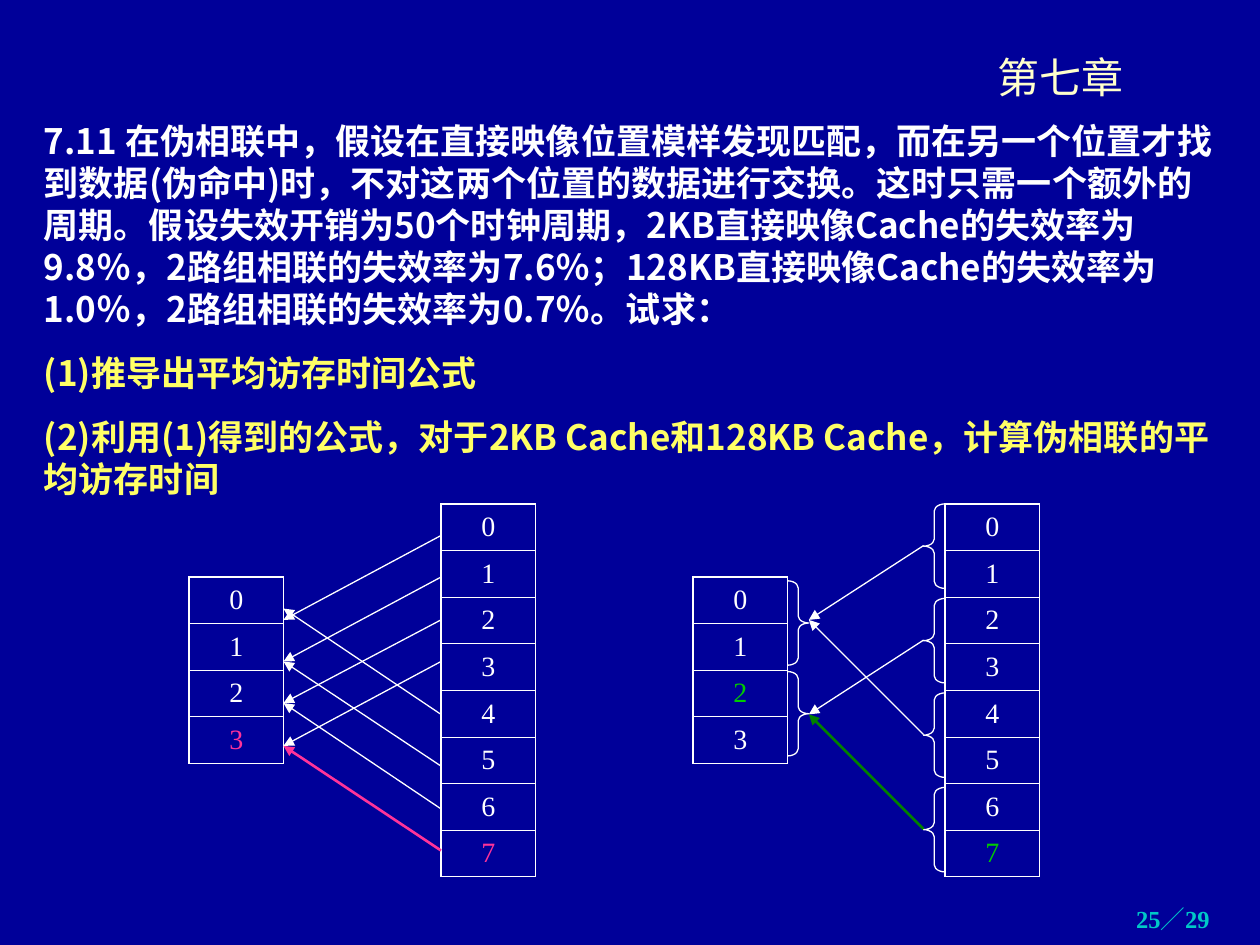
"""Build the pseudo-associative cache exercise slide with its two mapping diagrams."""
from lxml import etree
from pptx import Presentation
from pptx.dml.color import RGBColor
from pptx.enum.shapes import MSO_CONNECTOR, MSO_SHAPE
from pptx.enum.text import MSO_ANCHOR, PP_ALIGN
from pptx.oxml.ns import qn
from pptx.util import Inches, Pt

STRAIGHT = MSO_CONNECTOR.STRAIGHT
LEFT_BRACE, RIGHT_BRACE = MSO_SHAPE.LEFT_BRACE, MSO_SHAPE.RIGHT_BRACE
TOP, MIDDLE, BOTTOM = MSO_ANCHOR.TOP, MSO_ANCHOR.MIDDLE, MSO_ANCHOR.BOTTOM
LEFT, CENTER, RIGHT = PP_ALIGN.LEFT, PP_ALIGN.CENTER, PP_ALIGN.RIGHT

NAVY = RGBColor(0x00, 0x00, 0x99)
WHITE = RGBColor(0xFF, 0xFF, 0xFF)
CREAM = RGBColor(0xFF, 0xFF, 0xCC)
YELLOW = RGBColor(0xFF, 0xFF, 0x66)
PINK = RGBColor(0xFF, 0x33, 0x99)
GREEN = RGBColor(0x00, 0xCC, 0x00)
DARK_GREEN = RGBColor(0x00, 0x80, 0x00)
TEAL = RGBColor(0x00, 0xC8, 0xC8)
SANS, SERIF = "Noto Sans CJK SC", "Times New Roman"

TITLE = "第七章"
PAGE = "25／29"
QUESTION = [
    ("7.11 在伪相联中，假设在直接映像位置模样发现匹配，而在另一个位置才找到数据(伪命中)时，"
     "不对这两个位置的数据进行交换。这时只需一个额外的周期。假设失效开销为50个时钟周期，"
     "2KB直接映像Cache的失效率为9.8％，2路组相联的失效率为7.6％；"
     "128KB直接映像Cache的失效率为1.0％，2路组相联的失效率为0.7％。试求：", WHITE),
    ("(1)推导出平均访存时间公式", YELLOW),
    ("(2)利用(1)得到的公式，对于2KB Cache和128KB Cache，计算伪相联的平均访存时间", YELLOW),
]

CELL_W, CELL_H = 0.75, 0.37
BLOCK_TABLES = [
    (1.5, 4.58, 4, {3: PINK}),
    (3.5, 4, 8, {7: PINK}),
    (5.5, 4.58, 4, {2: GREEN}),
    (7.5, 4, 8, {7: GREEN}),
]
DIRECT_ARROWS = [
    (4.25, 4.92), (4.58, 5.25), (4.92, 5.58), (5.25, 5.92),
    (5.67, 4.83), (6.08, 5.25), (6.42, 5.58), (6.75, 5.92),
]
SET_ARROWS = [(4.33, 4.92), (5.08, 5.67), (5.83, 4.92), (6.58, 5.67)]
BRACE_W, BRACE_H = 0.17, 0.67
BRACES = [(RIGHT_BRACE, 6.25, 4.61 + 0.72 * i) for i in range(2)]
BRACES += [(LEFT_BRACE, 7.33, 4 + 0.75 * i) for i in range(4)]


def write(tf, text, size=16, color=WHITE, font=SERIF, bold=False, align=LEFT,
          before=0, line=None, new=False):
    p = tf.add_paragraph() if new else tf.paragraphs[0]
    p.alignment = align
    p.space_before = Pt(before)
    if line:
        p.line_spacing = Pt(line)
    r = p.add_run()
    r.text = text
    r.font.size, r.font.bold, r.font.name = Pt(size), bold, font
    r.font.color.rgb = color
    ea = etree.SubElement(r.font._element, qn("a:ea"))
    ea.set("typeface", font)


def place(sp, x, y, w, h, anchor=TOP):
    sp.left, sp.top, sp.width, sp.height = map(Inches, (x, y, w, h))
    tf = sp.text_frame
    tf.word_wrap = True
    tf.vertical_anchor = anchor
    return tf


def set_borders(cell, first, last):
    tc_pr = cell._tc.get_or_add_tcPr()
    widths = {"L": 1.08, "R": 1.08, "T": 1.08 if first else 0.45, "B": 1.08 if last else 0.45}
    for i, (side, width) in enumerate(widths.items()):
        ln = etree.Element(qn(f"a:ln{side}"), w=str(Pt(width)))
        fill = etree.SubElement(ln, qn("a:solidFill"))
        etree.SubElement(fill, qn("a:srgbClr"), val=str(WHITE))
        tc_pr.insert(i, ln)


def add_blocks(s, x, y, count, marked):
    frame = s.shapes.add_table(count, 1, Inches(x), Inches(y), Inches(CELL_W), Inches(CELL_H * count))
    table = frame.table
    table.first_row = table.horz_banding = False
    for i in range(count):
        table.rows[i].height = Inches(CELL_H)
        cell = table.cell(i, 0)
        cell.vertical_anchor = MIDDLE
        cell.fill.background()
        set_borders(cell, i == 0, i == count - 1)
        write(cell.text_frame, str(i), color=marked.get(i, WHITE), align=CENTER)


def add_arrow(s, x1, y1, x2, y2, color=WHITE, width=0.75):
    c = s.shapes.add_connector(STRAIGHT, *map(Inches, (x1, y1, x2, y2)))
    c.line.color.rgb = color
    c.line.width = Pt(width)
    etree.SubElement(c.line._get_or_add_ln(), qn("a:tailEnd"), type="triangle")
    etree.SubElement(c._element.spPr, qn("a:effectLst"))


def add_brace(s, kind, x, y):
    sp = s.shapes.add_shape(kind, *map(Inches, (x, y, BRACE_W, BRACE_H)))
    sp.adjustments[0] = 0.33
    sp.shadow.inherit = False
    sp.fill.background()
    sp.line.color.rgb = WHITE
    sp.line.width = Pt(0.75)


def main():
    prs = Presentation()
    prs.slide_width, prs.slide_height = Inches(10), Inches(7.5)
    s = prs.slides.add_slide(prs.slide_layouts[5])
    s.background.fill.solid()
    s.background.fill.fore_color.rgb = NAVY

    tf = place(s.shapes.title, 6.92, 0.33, 3, 0.5)
    write(tf, TITLE, size=24, color=CREAM, font=SANS, align=CENTER, line=31)
    tf = place(s.shapes.add_textbox(0, 0, 0, 0), 0.25, 0.9, 9.5, 3.12)
    for i, (text, color) in enumerate(QUESTION):
        write(tf, text, size=20, color=color, font=SANS, bold=True,
              before=12.5 if i else 0, line=24, new=i > 0)
    tf = place(s.shapes.add_textbox(0, 0, 0, 0), 8.27, 7.11, 1.43, 0.35, BOTTOM)
    write(tf, PAGE, size=14, color=TEAL, bold=True, align=RIGHT)

    for blocks in BLOCK_TABLES:
        add_blocks(s, *blocks)
    for brace in BRACES:
        add_brace(s, *brace)
    for x1, x2, arrows, accent in ((3.5, 2.25, DIRECT_ARROWS, PINK),
                                   (7.33, 6.42, SET_ARROWS, DARK_GREEN)):
        for y1, y2 in arrows[:-1]:
            add_arrow(s, x1, y1, x2, y2)
        y1, y2 = arrows[-1]
        add_arrow(s, x1, y1, x2, y2, accent, 1.5)

    prs.save("out.pptx")


if __name__ == "__main__":
    main()
